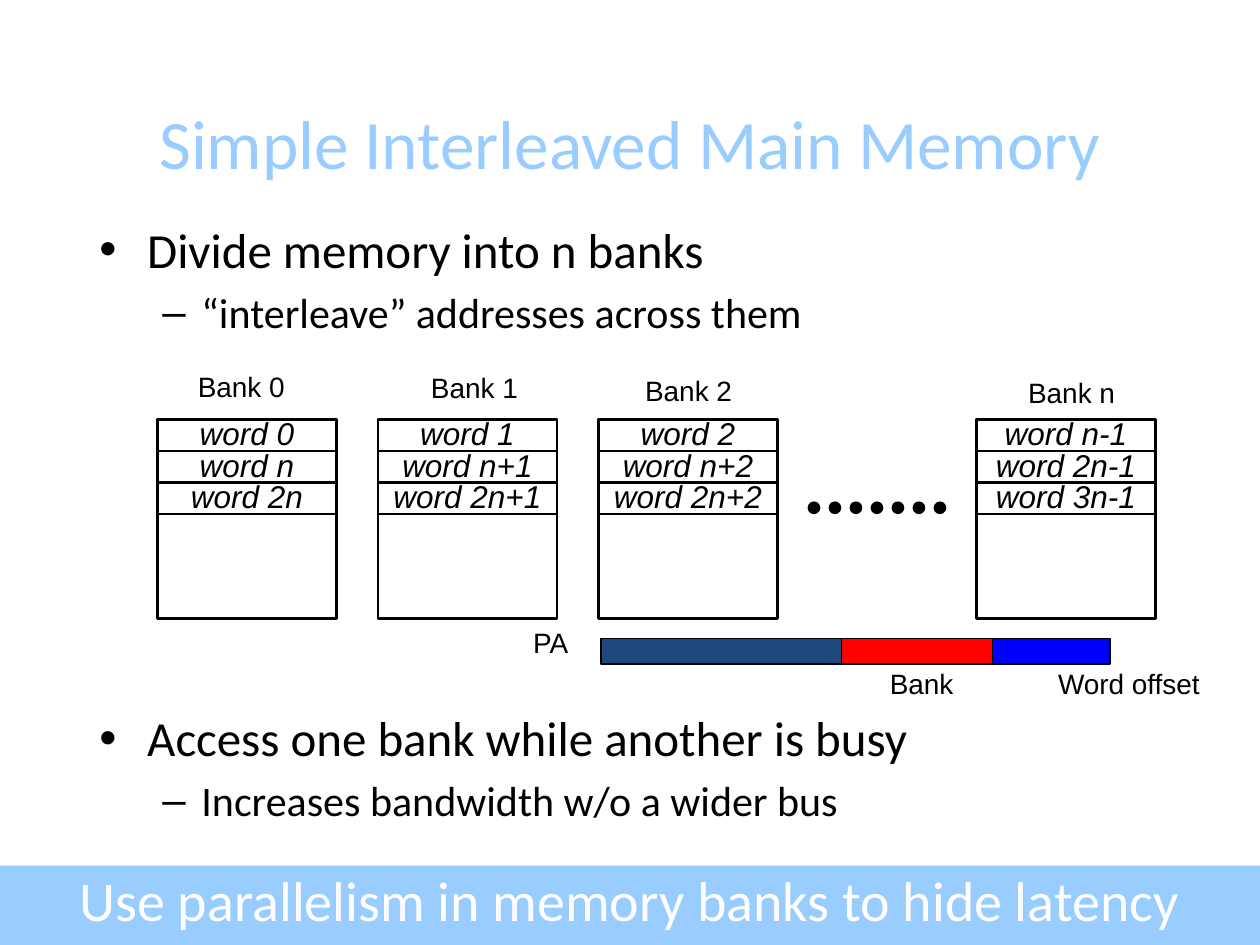
from dataclasses import dataclass

import pptx
import pptx.dml.color
import pptx.enum.shapes
import pptx.enum.text
import pptx.oxml.ns
import pptx.util
from lxml import etree

Inches = pptx.util.Inches
Pt = pptx.util.Pt
Align = pptx.enum.text.PP_ALIGN
Anchor = pptx.enum.text.MSO_ANCHOR
Kind = pptx.enum.shapes.MSO_SHAPE

SKY, BLACK, WHITE = "99CCFF", "000000", "FFFFFF"
TOP, WIDTH, HEIGHT, ROW = 3.33, 1.42, 1.58, 0.25


@dataclass
class Label:
    text: str
    left: float
    top: float
    width: float


@dataclass
class Bank:
    left: float
    label: Label
    words: tuple[str, ...]


@dataclass
class Field:
    left: float
    width: float
    fill: str


@dataclass
class Point:
    text: str
    size: float
    before: float
    bullet: str
    indent: float
    hang: float


BANKS = [
    Bank(1.25, Label("Bank 0", 1.47, 2.88, 0.89), ("0", "n", "2n")),
    Bank(3, Label("Bank 1", 3.32, 2.89, 0.89), ("1", "n+1", "2n+1")),
    Bank(4.75, Label("Bank 2", 5.02, 2.91, 0.89), ("2", "n+2", "2n+2")),
    Bank(7.75, Label("Bank n", 8.06, 2.93, 0.89), ("n-1", "2n-1", "3n-1")),
]
FIELDS = [
    Field(4.77, 2.8, "1F497D"),
    Field(6.68, 2.12, "FF0000"),
    Field(7.88, 0.93, "0000FF"),
]
NOTES = [
    Label("PA", 4.12, 4.91, 0.5),
    Label("Bank", 6.96, 5.24, 0.71),
    Label("Word offset", 8.29, 5.24, 1.34),
]
# The second main point starts below the diagram
POINTS = [
    Point("Divide memory into n banks", 28, 0, "•", 0.38, 0.38),
    Point("“interleave” addresses across them", 24, 4.8, "–", 0.81, 0.31),
    Point("Access one bank while another is busy", 28, 212, "•", 0.38, 0.38),
    Point("Increases bandwidth w/o a wider bus", 24, 4.8, "–", 0.81, 0.31),
]


def color(code: str) -> pptx.dml.color.RGBColor:
    return pptx.dml.color.RGBColor.from_string(code)


def write(para, text: str, size: float, font: str, code: str,
          italic: bool = False) -> None:
    run = para.add_run()
    run.text = text
    run.font.size = Pt(size)
    run.font.name = font
    run.font.italic = italic
    run.font.color.rgb = color(code)


def place(shape, left: float, top: float, width: float, height: float) -> None:
    shape.left, shape.top = Inches(left), Inches(top)
    shape.width, shape.height = Inches(width), Inches(height)


def draw(slide, kind, left: float, top: float, width: float, height: float,
         fill: str, line: float = 0):
    shape = slide.shapes.add_shape(
        kind, Inches(left), Inches(top), Inches(width), Inches(height))
    shape.shadow.inherit = False
    shape.fill.solid()
    shape.fill.fore_color.rgb = color(fill)
    if line:
        shape.line.color.rgb = color(BLACK)
        shape.line.width = Pt(line)
    else:
        shape.line.fill.background()
    return shape


def center(shape):
    frame = shape.text_frame
    frame.word_wrap = False
    frame.vertical_anchor = Anchor.MIDDLE
    para = frame.paragraphs[0]
    para.alignment = Align.CENTER
    return para


def add_label(slide, label: Label) -> None:
    box = slide.shapes.add_textbox(
        Inches(label.left), Inches(label.top), Inches(label.width), Inches(0.37))
    write(center(box), label.text, 16, "Arial", BLACK)


def add_bank(slide, bank: Bank) -> None:
    add_label(slide, bank.label)
    draw(slide, Kind.RECTANGLE, bank.left, TOP, WIDTH, HEIGHT, WHITE, 1.5)
    for row, word in enumerate(bank.words):
        cell = draw(slide, Kind.RECTANGLE, bank.left, TOP + row * ROW,
                    WIDTH, ROW, WHITE, 1.5)
        para = center(cell)
        para.line_spacing = 0.9
        write(para, f"word {word}", 18, "Arial", BLACK, True)


def add_point(para, point: Point) -> None:
    para.space_before = Pt(point.before)
    props = para._p.get_or_add_pPr()
    props.set("marL", str(Inches(point.indent)))
    props.set("indent", str(-Inches(point.hang)))
    tag = pptx.oxml.ns.qn("a:buFont")
    etree.SubElement(props, tag).set("typeface", "Arial")
    tag = pptx.oxml.ns.qn("a:buChar")
    etree.SubElement(props, tag).set("char", point.bullet)
    write(para, point.text, point.size, "Calibri", BLACK)


def main() -> None:
    deck = pptx.Presentation()
    deck.slide_width, deck.slide_height = Inches(10), Inches(7.5)
    slide = deck.slides.add_slide(deck.slide_layouts[5])

    # Title
    title = slide.shapes.title
    place(title, 0.69, 0.74, 8.62, 0.77)
    title.text_frame.vertical_anchor = Anchor.MIDDLE
    para = title.text_frame.paragraphs[0]
    para.alignment = Align.CENTER
    write(para, "Simple Interleaved Main Memory", 39.6, "Calibri", SKY)

    # Bullet points
    body = slide.shapes.add_textbox(
        Inches(0.69), Inches(1.69), Inches(8.62), Inches(5.07))
    frame = body.text_frame
    frame.word_wrap = True
    for num, point in enumerate(POINTS):
        para = frame.add_paragraph() if num else frame.paragraphs[0]
        add_point(para, point)

    # Memory banks and the dots between them
    for bank in BANKS:
        add_bank(slide, bank)
    for num in range(7):
        draw(slide, Kind.OVAL, 6.42 + num / 6, 3.99, 0.08, 0.08, BLACK, 1.5)

    # Physical address fields
    for field in FIELDS:
        draw(slide, Kind.RECTANGLE, field.left, 5.07, field.width, 0.2,
             field.fill, 0.75)
    for note in NOTES:
        add_label(slide, note)

    # Closing banner
    draw(slide, Kind.RECTANGLE, 0, 6.87, 10, 0.63, SKY)
    box = slide.shapes.add_textbox(
        Inches(0), Inches(6.82), Inches(10), Inches(0.63))
    box.text_frame.word_wrap = True
    para = box.text_frame.paragraphs[0]
    para.alignment = Align.CENTER
    write(para, "Use parallelism in memory banks to hide latency", 32,
          "Calibri", WHITE)

    deck.save("out.pptx")


if __name__ == "__main__":
    main()
